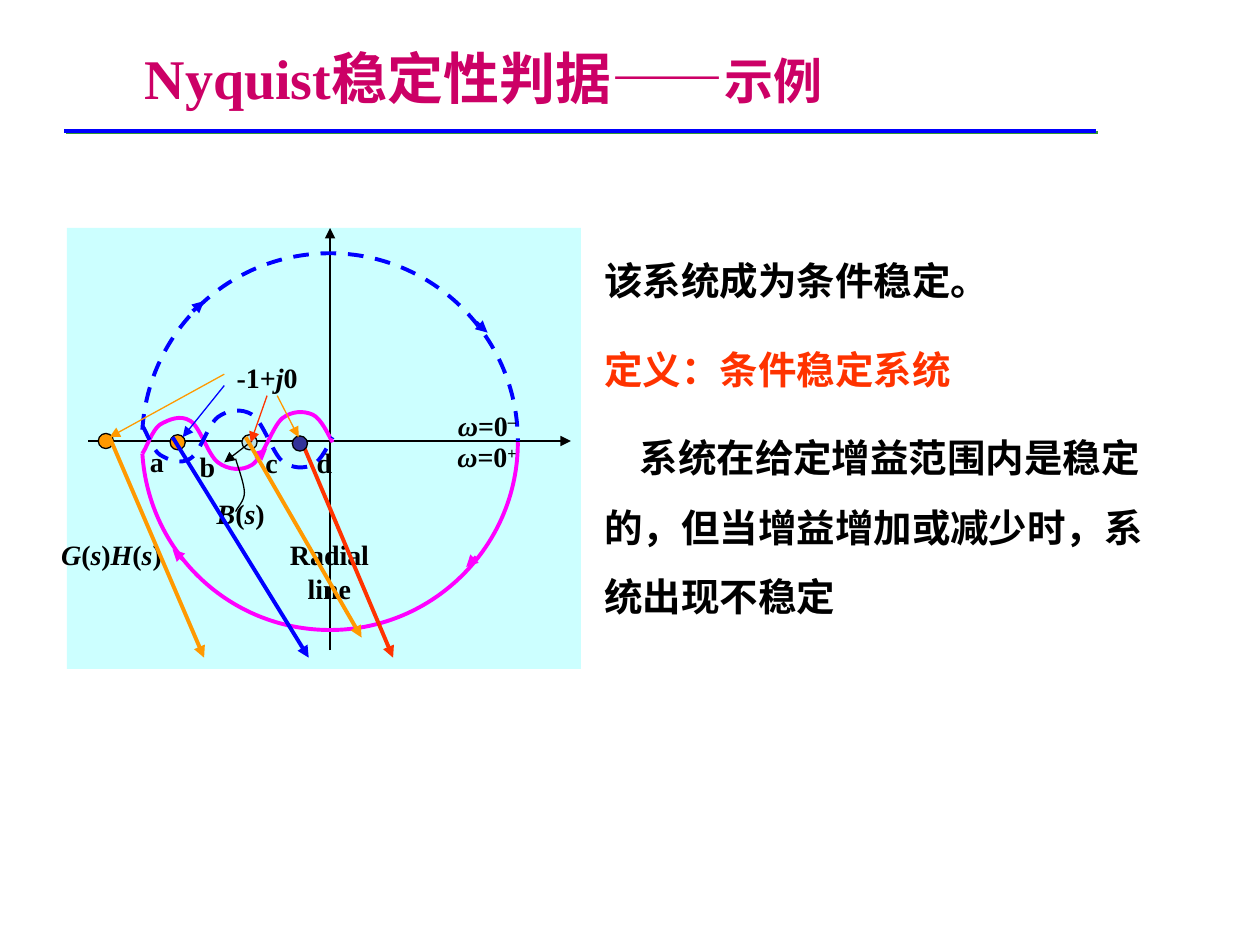
from lxml import etree
from pptx import Presentation
from pptx import util as u
from pptx.dml.color import RGBColor
from pptx.enum import dml, shapes, text
from pptx.oxml import ns

deck = Presentation()
deck.slide_width, deck.slide_height = u.Inches(10), u.Inches(7.5)
slide = deck.slides.add_slide(deck.slide_layouts[6])
col, row = deck.slide_width / 100, deck.slide_height / 75
hue = RGBColor.from_string
BLACK, BLUE, MAGENTA, ORANGE, RED = "000000", "0000FF", "FF00FF", "FF9900", "FF3300"


def draw_line(x1, y1, x2, y2, colour, width, head=True):
    line = slide.shapes.add_connector(
        shapes.MSO_CONNECTOR.STRAIGHT,
        int(x1 * col), int(y1 * row), int(x2 * col), int(y2 * row))
    line.line.color.rgb = hue(colour)
    line.line.width = u.Pt(width)
    properties = line._element.spPr
    if head:
        etree.SubElement(properties.find(ns.qn("a:ln")), ns.qn("a:tailEnd"), type="triangle")
    return etree.SubElement(properties, ns.qn("a:effectLst"))


def add_words(left, top, width, height, side_inset):
    box = slide.shapes.add_textbox(
        int(left * col), int(top * row), int(width * col), int(height * row))
    frame = box.text_frame
    frame.word_wrap = True
    frame.margin_left = frame.margin_right = int(side_inset * col)
    return frame


rule_effects = draw_line(5.1, 10.4, 87, 10.4, BLUE, 2, head=False)
rule_shadow = etree.SubElement(
    rule_effects, ns.qn("a:outerShdw"), dist=str(u.Pt(1.4)), dir="2700000", algn="ctr")
etree.SubElement(rule_shadow, ns.qn("a:srgbClr"), val="339933")

panel = slide.shapes.add_shape(
    shapes.MSO_SHAPE.RECTANGLE, int(5.3 * col), int(18.1 * row), int(40.8 * col), int(35 * row))
panel.shadow.inherit = False
panel.fill.solid()
panel.fill.fore_color.rgb = hue("CCFFFF")
panel.line.fill.background()

draw_line(7, 35, 45.3, 35, BLACK, 0.75)
draw_line(26.2, 51.6, 26.2, 18.1, BLACK, 0.75)

wave = [(11.3, 36), (11.6, 35.6), (12.1, 34.1), (12.7, 33.7), (13.4, 33.3), (14.3, 32.9),
        (15.1, 33.4), (15.9, 33.9), (16.5, 36.1), (17.3, 36.7), (18.1, 37.3), (19.2, 37.4),
        (20, 36.9), (20.9, 36.3), (21.6, 33.9), (22.4, 33.2), (23.2, 32.6), (24.1, 32.6),
        (24.8, 32.9), (25.5, 33.2), (26.1, 34.6), (26.4, 35.1)]
arc = [(11.3, 36), (11.8, 43.9), (18.3, 50), (26.2, 50), (34.4, 50), (41.1, 43.3), (41.1, 35.1)]
leader = [(18.7, 36.4), (18.8, 36.8), (19.4, 38.4), (19.4, 39.1), (19.4, 39.8), (18.8, 40.3),
          (18.7, 40.6)]
mirrored_wave = [(x, 69.8 - y) for x, y in wave]
mirrored_arc = [(x, 70.1 - y) for x, y in arc]
for controls, colour, width, dash in [
        (wave, MAGENTA, 2.25, None), (arc, MAGENTA, 2.25, None),
        (mirrored_arc, BLUE, 2.25, dml.MSO_LINE.DASH),
        (mirrored_wave, BLUE, 2.25, dml.MSO_LINE.DASH), (leader, BLACK, 0.75, None)]:
    bends = [(x * col, y * row) for x, y in controls]
    builder = slide.shapes.build_freeform(*bends[0])
    builder.add_line_segments(bends[1:], close=False)
    curve = builder.convert_to_shape()
    curve.shadow.inherit = False
    curve.fill.background()
    curve.line.color.rgb = hue(colour)
    curve.line.width = u.Pt(width)
    if dash:
        curve.line.dash_style = dash
    segments = curve._element.findall(".//" + ns.qn("a:lnTo"))
    for first in range(0, len(segments), 3):
        cubic = etree.Element(ns.qn("a:cubicBezTo"))
        segments[first].addprevious(cubic)
        for segment in segments[first:first + 3]:
            cubic.append(segment[0])
            segment.getparent().remove(segment)

for x1, y1, x2, y2, colour in [
        (37.8, 44.2, 37, 45, MAGENTA), (14.5, 44.4, 13.7, 43.6, MAGENTA),
        (20.3, 36.4, 21.2, 35.6, MAGENTA),
        (37.8, 25.6, 38.7, 26.4, BLUE), (15.3, 24.7, 16.2, 23.9, BLUE)]:
    draw_line(x1, y1, x2, y2, colour, 2.25)

for parts, left, top, width, height in [
        (["ω", "=0", "–"], 35.3, 31.9, 6.7, 3.7),
        (["ω", "=0", "+"], 35.3, 34.4, 6.7, 3.7),
        (["G", "(", "s", ")", "H", "(", "s", ")"], 4.7, 42.2, 8.3, 3.7),
        (["-1+", "j", "0"], 18.7, 28.1, 5, 3.7),
        (["B", "(", "s", ")"], 16.2, 38.9, 5.8, 3.7),
        (["Radial line"], 22, 42.2, 8.3, 6.4),
        (["a"], 11.2, 34.8, 2.5, 3.7),
        (["b"], 15.2, 35.2, 2.5, 3.7),
        (["c"], 20.3, 34.9, 2.5, 3.7),
        (["d"], 24.5, 34.9, 2.5, 3.7)]:
    label = add_words(left, top, width, height, 0).paragraphs[0]
    label.alignment = text.PP_ALIGN.CENTER
    for part in parts:
        symbol = label.add_run()
        symbol.text = part
        symbol.font.name = "Times New Roman"
        symbol.font.size = u.Pt(16)
        symbol.font.bold = True
        symbol.font.italic = part in "ωGHBsj"
        symbol.font.color.rgb = hue(BLACK)
        if part in "–+":
            symbol._r.get_or_add_rPr().set("baseline", "30000")

draw_line(23.8, 34.7, 31.2, 52.2, RED, 2.25)
for left, top, colour in [(19.2, 34.5, "BBE0E3"), (23.2, 34.6, "333399"),
                          (13.5, 34.5, ORANGE), (7.8, 34.4, ORANGE)]:
    dot = slide.shapes.add_shape(
        shapes.MSO_SHAPE.OVAL, int(left * col), int(top * row), int(1.2 * col), int(1.2 * row))
    dot.shadow.inherit = False
    dot.fill.solid()
    dot.fill.fore_color.rgb = hue(colour)
    dot.line.color.rgb = hue(BLACK)
    dot.line.width = u.Pt(0.75)

for x1, y1, x2, y2, colour, width in [
        (20, 35, 17.8, 36.7, BLACK, 0.75), (21.2, 31.4, 19.9, 35.1, RED, 0.75),
        (22, 31.4, 23.7, 34.7, ORANGE, 0.75), (17.8, 30.6, 14.5, 34.7, BLUE, 0.75),
        (17.8, 29.7, 8.7, 34.7, ORANGE, 0.75), (19.5, 34.7, 28.7, 50.6, ORANGE, 2.25),
        (13.7, 34.7, 24.5, 52.2, BLUE, 2.25), (8.7, 34.7, 16.2, 52.2, ORANGE, 2.25)]:
    draw_line(x1, y1, x2, y2, colour, width)

definition = add_words(47, 18.1, 45.8, 32.2, 1)
definition.text = ("该系统成为条件稳定。\n定义：条件稳定系统\n"
                   "系统在给定增益范围内是稳定的，但当增益增加或减少时，系统出现不稳定")
for index, (sentence, colour) in enumerate(zip(definition.paragraphs, (BLACK, RED, BLACK))):
    sentence.line_spacing = 1.5
    if index:
        sentence.space_before = u.Pt(11)
    wording = sentence.runs[0].font
    wording.name, wording.size, wording.bold = "Times New Roman", u.Pt(22), True
    wording.color.rgb = hue(colour)
definition.paragraphs[2]._p.get_or_add_pPr().set("indent", str(int(2.8 * col)))

heading = add_words(10.5, 1.8, 81.3, 8.7, 1)
heading.vertical_anchor = text.MSO_ANCHOR.MIDDLE
for wording, size in [("Nyquist稳定性判据——", 32), ("示例", 28)]:
    piece = heading.paragraphs[0].add_run()
    piece.text = wording
    piece.font.name, piece.font.size, piece.font.bold = "Times New Roman", u.Pt(size), True
    piece.font.color.rgb = hue("CC0066")

deck.save("out.pptx")
